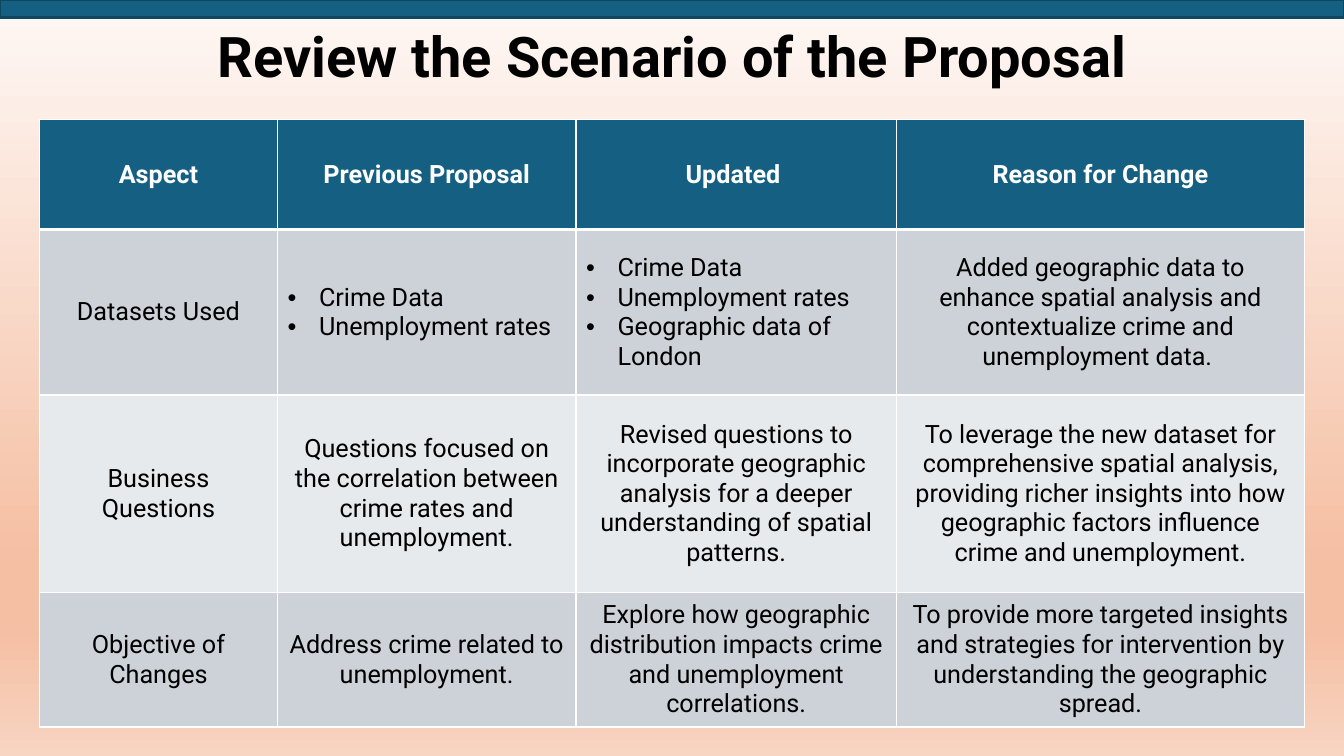
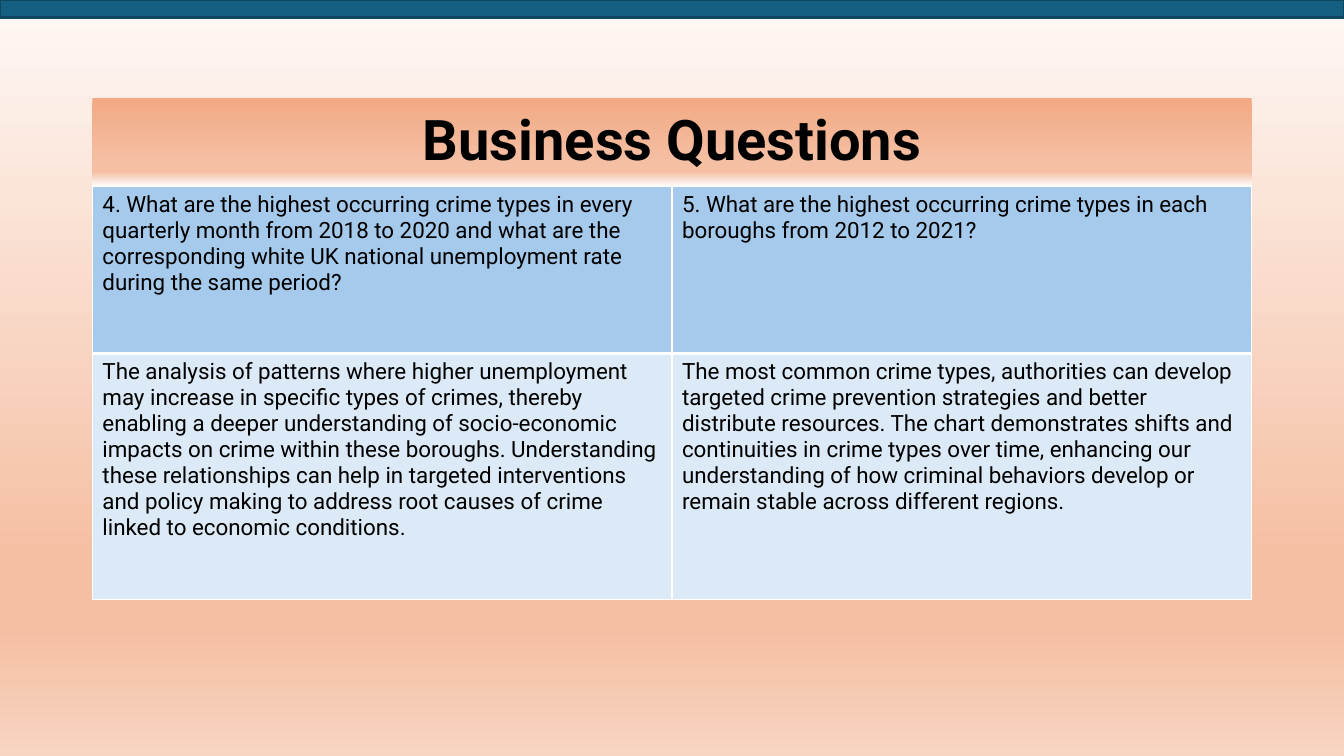
from lxml.etree import SubElement
from pptx import Presentation
from pptx.dml.color import RGBColor
from pptx.enum.shapes import MSO_SHAPE
from pptx.enum.text import MSO_ANCHOR, MSO_AUTO_SIZE, PP_ALIGN
from pptx.oxml.ns import qn
from pptx.util import Pt

BLACK = RGBColor(0x00, 0x00, 0x00)
WHITE = RGBColor(0xFF, 0xFF, 0xFF)
TEAL = RGBColor(0x15, 0x60, 0x82)
DARK = RGBColor(0x10, 0x47, 0x60)
GRAY = RGBColor(0xCC, 0xD2, 0xD8)
PALE = RGBColor(0xE7, 0xEA, 0xED)
BLUE = RGBColor(0xA6, 0xCA, 0xEC)
ICE = RGBColor(0xDC, 0xEA, 0xF7)
CREAM = RGBColor(0xFE, 0xF8, 0xF5)
PEACH = RGBColor(0xF5, 0xBF, 0xA3)
SAND = RGBColor(0xF8, 0xD4, 0xC2)
CORAL = RGBColor(0xF2, 0xAA, 0x84)

FONT = "Roboto"
WIDTH, HEIGHT = 960, 540
BACK = [(0, CREAM), (74, PEACH), (83, PEACH), (100, SAND)]
PANEL = [(0, CORAL), (74, PEACH), (83, PEACH), (100, WHITE)]

# A list in a cell is shown with bullets.
REVIEW = [
    ["Aspect", "Previous Proposal", "Updated ", "Reason for Change"],
    ["Datasets Used",
     ["Crime Data", "Unemployment rates"],
     ["Crime Data", "Unemployment rates", "Geographic data of London"],
     "Added geographic data to enhance spatial analysis and contextualize "
     "crime and unemployment data. "],
    ["Business Questions",
     "Questions focused on the correlation between crime rates and "
     "unemployment.",
     "Revised questions to incorporate geographic analysis for a deeper "
     "understanding of spatial patterns.",
     "To leverage the new dataset for comprehensive spatial analysis, "
     "providing richer insights into how geographic factors influence crime "
     "and unemployment."],
    ["Objective of Changes",
     "Address crime related to unemployment.",
     "Explore how geographic distribution impacts crime and unemployment "
     "correlations.",
     "To provide more targeted insights and strategies for intervention by "
     "understanding the geographic spread."],
]
QUESTIONS = [
    ["4. What are the highest occurring crime types in every quarterly month "
     "from 2018 to 2020 and what are the corresponding white UK national "
     "unemployment rate during the same period?",
     "5. What are the highest occurring crime types in each boroughs from "
     "2012 to 2021?"],
    ["The analysis of patterns where higher unemployment may increase in "
     "specific types of crimes, thereby enabling a deeper understanding of "
     "socio-economic impacts on crime within these boroughs. Understanding "
     "these relationships can help in targeted interventions and policy "
     "making to address root causes of crime linked to economic conditions.",
     "The most common crime types, authorities can develop targeted crime "
     "prevention strategies and better distribute resources. The chart "
     "demonstrates shifts and continuities in crime types over time, "
     "enhancing our understanding of how criminal behaviors develop or "
     "remain stable across different regions."],
]


def blend(fill, node, stops):
    """Fill from top to bottom with (percent, colour) stops."""
    fill.gradient()
    fill.gradient_angle = 270
    group = next(node.iter(qn("a:gsLst")))
    for old in list(group):
        group.remove(old)
    for spot, color in stops:
        stop = SubElement(group, qn("a:gs"), pos=str(spot * 1000))
        SubElement(stop, qn("a:srgbClr"), val=str(color))


def bullet(para, indent=22.5):
    props = para._p.get_or_add_pPr()
    props.set("marL", str(Pt(indent)))
    props.set("indent", str(-Pt(indent)))
    SubElement(props, qn("a:buFont"), typeface="Arial")
    SubElement(props, qn("a:buChar"), char="•")


def write(host, words, size=18, color=BLACK, bold=False, align=None,
          anchor=MSO_ANCHOR.MIDDLE, space=None):
    """Write one text, or a list of texts as bullets, in a cell or shape."""
    frame = host.text_frame
    holder = host if hasattr(host, "vertical_anchor") else frame
    holder.vertical_anchor = anchor
    listed = isinstance(words, list)
    for i, line in enumerate(words if listed else [words]):
        para = frame.add_paragraph() if i else frame.paragraphs[0]
        if listed:
            bullet(para)
        else:
            para.alignment = align
        if space:
            para.line_spacing = space
        run = para.add_run()
        run.text = line
        font = run.font
        font.name, font.size, font.bold = FONT, Pt(size), bold
        font.color.rgb = color


def border(cell, **widths):
    props = cell._tc.get_or_add_tcPr()
    for side in "LRTB":
        line = SubElement(props, qn("a:ln" + side),
                          w=str(Pt(widths.get(side, 1))))
        solid = SubElement(line, qn("a:solidFill"))
        SubElement(solid, qn("a:srgbClr"), val=str(WHITE))


def add_grid(slide, data, left, top, cols, rows, fills, head=None, **style):
    """Add a table; head holds the format changes of its first row."""
    table = slide.shapes.add_table(
        len(rows), len(cols), Pt(left), Pt(top),
        Pt(sum(cols)), Pt(sum(rows))).table
    table.horz_banding = False
    for col, width in zip(table.columns, cols):
        col.width = Pt(width)
    for r, (row, height) in enumerate(zip(table.rows, rows)):
        row.height = Pt(height)
        look = {**style, **(head or {})} if r == 0 else style
        edge = {0: {"B": 3}, 1: {"T": 3}}.get(r, {})
        for cell, words in zip(row.cells, data[r]):
            border(cell, **edge)
            cell.fill.solid()
            cell.fill.fore_color.rgb = fills[r]
            write(cell, words, **look)


def add_slide(deck, name, top, height):
    """Add a slide with its title; return both."""
    slide = deck.slides.add_slide(deck.slide_layouts[5])
    title = slide.shapes.title
    title.left, title.top = Pt(66), Pt(top)
    title.width, title.height = Pt(828), Pt(height)
    title.text_frame.auto_size = MSO_AUTO_SIZE.NONE
    write(title, name, size=40, bold=True, align=PP_ALIGN.CENTER, space=0.9)
    return slide, title


def add_band(slide):
    band = slide.shapes.add_shape(MSO_SHAPE.RECTANGLE, 0, 0,
                                  Pt(WIDTH), Pt(12.5))
    band.shadow.inherit = False
    band.fill.solid()
    band.fill.fore_color.rgb = TEAL
    band.line.color.rgb = DARK
    band.line.width = Pt(1.5)


def main():
    deck = Presentation()
    deck.slide_width, deck.slide_height = Pt(WIDTH), Pt(HEIGHT)
    master = deck.slide_master
    blend(master.background.fill, master.element, BACK)

    slide, _ = add_slide(deck, "Review the Scenario of the Proposal", 12, 60.5)
    add_grid(slide, REVIEW, 28.2, 85.5, [170, 213.2, 229, 291.4],
             [78.5, 118.2, 141, 96.2], [TEAL, GRAY, PALE, GRAY],
             head={"color": WHITE, "bold": True}, align=PP_ALIGN.CENTER)
    add_band(slide)

    slide, title = add_slide(deck, "Business Questions", 69.8, 63.6)
    blend(title.fill, title.element, PANEL)
    add_grid(slide, QUESTIONS, 66, 133.4, [414, 414], [119.2, 175.5],
             [BLUE, ICE], size=16, anchor=MSO_ANCHOR.TOP)
    add_band(slide)

    deck.save("out.pptx")


if __name__ == "__main__":
    main()
